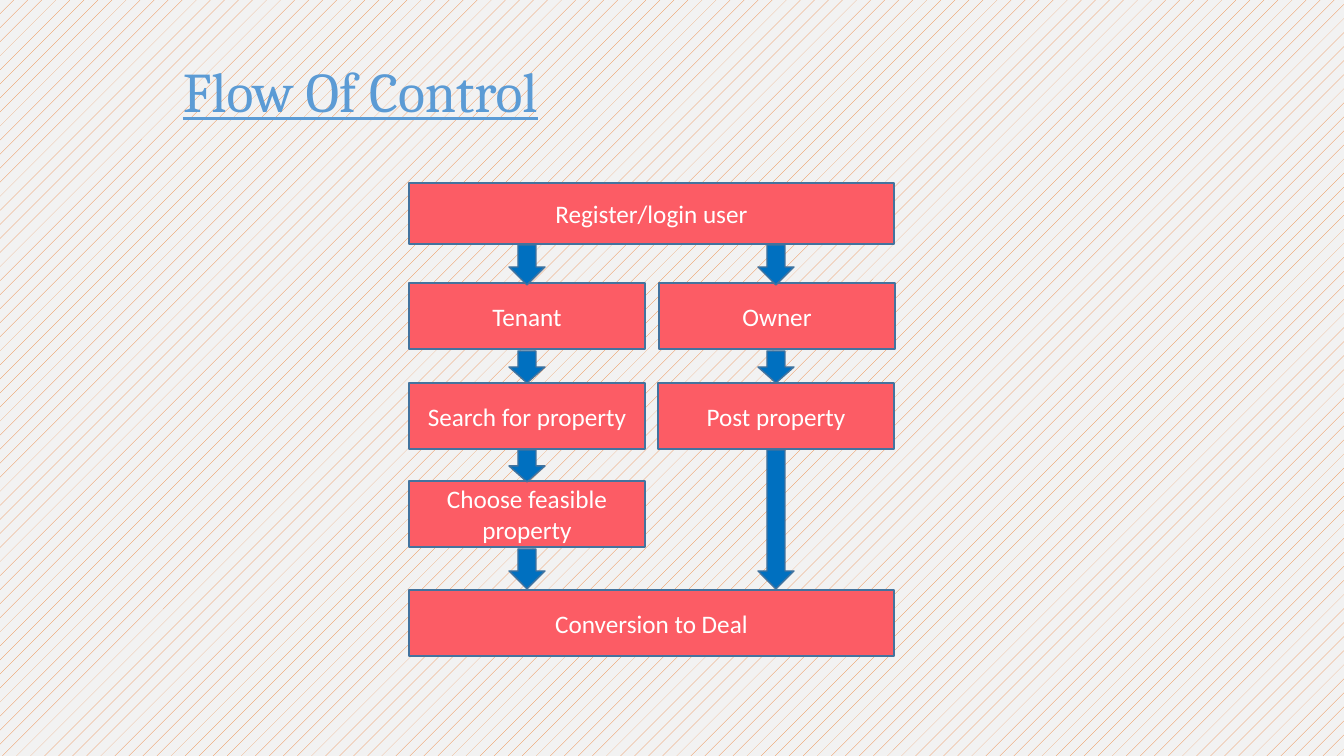
from dataclasses import dataclass

from pptx import Presentation
from pptx.dml.color import RGBColor as RGB
from pptx.enum.dml import MSO_PATTERN as Pattern
from pptx.enum.shapes import MSO_SHAPE as Kind
from pptx.enum.text import MSO_ANCHOR as Anchor, MSO_AUTO_SIZE as Fit, PP_ALIGN as Align
from pptx.shapes.autoshape import Shape
from pptx.slide import Slide
from pptx.util import Emu, Pt

SCALE = 914400 / 100.8


@dataclass(frozen=True)
class Theme:
    paper: RGB = RGB(0xF2, 0xF2, 0xF2)
    hatch: RGB = RGB(0xED, 0x7D, 0x31)
    box: RGB = RGB(0xFC, 0x5C, 0x65)
    arrow: RGB = RGB(0x00, 0x70, 0xC0)
    edge: RGB = RGB(0x43, 0x73, 0x9E)
    label: RGB = RGB(0xFF, 0xFF, 0xFF)
    title: RGB = RGB(0x5B, 0x9B, 0xD5)
    body_font: str = "Calibri"
    title_font: str = "Cambria"
    body_size: Pt = Pt(18)
    title_size: Pt = Pt(40)
    stroke: Pt = Pt(1)


@dataclass(frozen=True)
class Step:
    text: str
    left: int
    top: int
    width: int
    height: int = 66


@dataclass(frozen=True)
class Arrow:
    lane: int
    top: int
    height: int


THEME = Theme()
LEFT, RIGHT = 409, 658
HALF, FULL = 236, 485
HEAD = 36

STEPS = [
    Step("Register/login user", LEFT, 183, FULL, 61),
    Step("Tenant", LEFT, 283, HALF),
    Step("Owner", RIGHT + 1, 283, HALF),
    Step("Search for property", LEFT, 383, HALF),
    Step("Post property", RIGHT, 383, HALF),
    Step("Choose feasible property", LEFT, 481, HALF),
    Step("Conversion to Deal", LEFT, 590, FULL),
]
ARROWS = [
    *(Arrow(lane, top, high) for top, high in ((245, 40), (351, 32)) for lane in (LEFT, RIGHT)),
    Arrow(LEFT, 450, 32),
    Arrow(LEFT, 549, 40),
    Arrow(RIGHT, 450, 139),
]


def px(size: float) -> Emu:
    return Emu(round(size * SCALE))


def draw_shape(slide: Slide, kind: Kind, fill: RGB, *frame: int) -> Shape:
    shape = slide.shapes.add_shape(kind, *map(px, frame))
    shape.shadow.inherit = False
    shape.fill.solid()
    shape.fill.fore_color.rgb = fill
    shape.line.color.rgb = THEME.edge
    shape.line.width = THEME.stroke
    return shape


def draw_step(slide: Slide, step: Step) -> None:
    shape = draw_shape(slide, Kind.RECTANGLE, THEME.box,
                       step.left, step.top, step.width, step.height)
    frame = shape.text_frame
    frame.word_wrap = True
    frame.vertical_anchor = Anchor.MIDDLE
    para = frame.paragraphs[0]
    para.text = step.text
    para.alignment = Align.CENTER
    para.font.name = THEME.body_font
    para.font.size = THEME.body_size
    para.font.color.rgb = THEME.label


def draw_arrow(slide: Slide, arrow: Arrow) -> None:
    left = arrow.lane + (HALF - HEAD) // 2
    draw_shape(slide, Kind.DOWN_ARROW, THEME.arrow, left, arrow.top, HEAD, arrow.height)


def draw_title(slide: Slide, text: str) -> None:
    frame = slide.shapes.add_textbox(*map(px, (173, 52, 672, 78))).text_frame
    frame.word_wrap = True
    frame.auto_size = Fit.SHAPE_TO_FIT_TEXT
    para = frame.paragraphs[0]
    para.text = text
    para.font.name = THEME.title_font
    para.font.size = THEME.title_size
    para.font.underline = True
    para.font.color.rgb = THEME.title


def paint_back(slide: Slide) -> None:
    fill = slide.background.fill
    fill.patterned()
    fill.pattern = Pattern.PERCENT_5
    fill.fore_color.rgb = THEME.hatch
    fill.back_color.rgb = THEME.paper


def main() -> None:
    deck = Presentation()
    deck.slide_width, deck.slide_height = px(1344), px(756)
    slide = deck.slides.add_slide(deck.slide_layouts[6])
    paint_back(slide)
    for step in STEPS:
        draw_step(slide, step)
    for arrow in ARROWS:
        draw_arrow(slide, arrow)
    draw_title(slide, "Flow Of Control")
    deck.save("out.pptx")


main()
